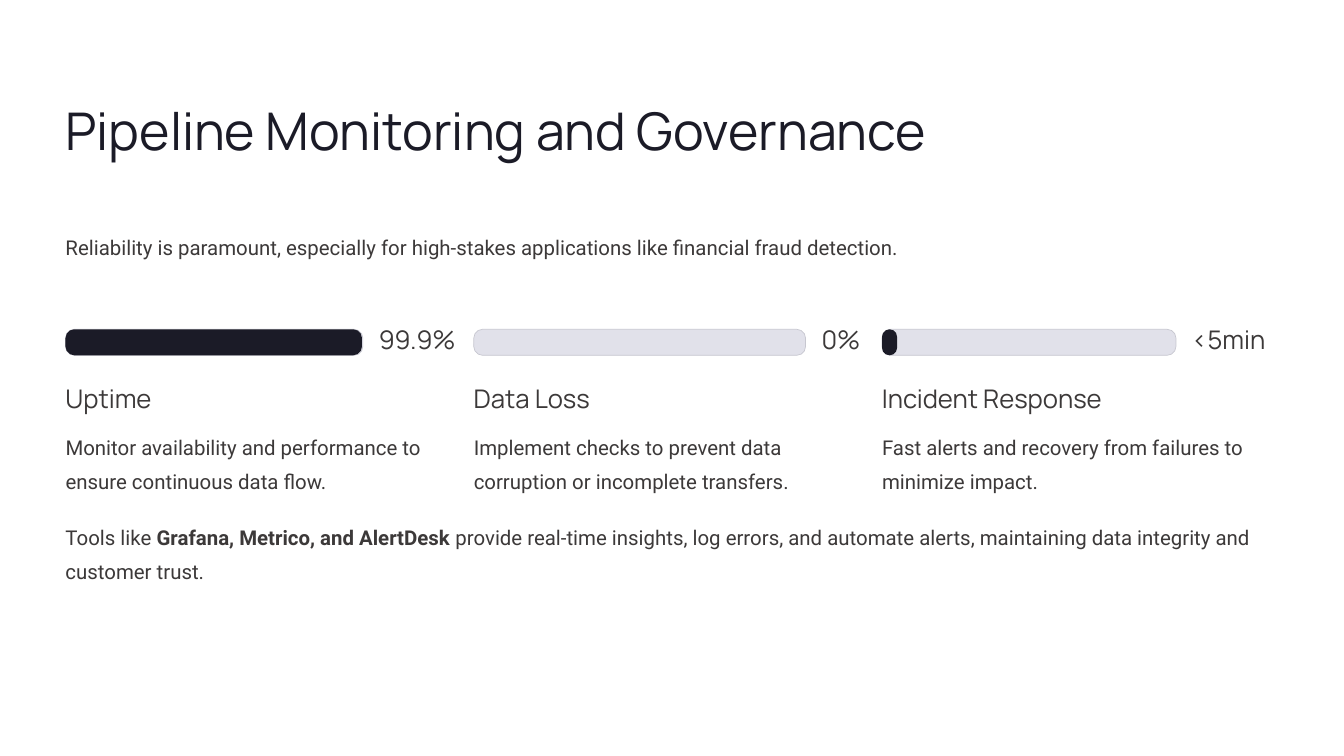
from pptx import Presentation
from pptx.dml.color import RGBColor
from pptx.enum.shapes import MSO_SHAPE
from pptx.enum.text import MSO_ANCHOR, MSO_AUTO_SIZE, PP_ALIGN
from pptx.util import Inches, Pt

ROUND = MSO_SHAPE.ROUNDED_RECTANGLE
TOP = MSO_ANCHOR.TOP
FIXED = MSO_AUTO_SIZE.NONE
LEFT = PP_ALIGN.LEFT

DARK = RGBColor(0x1B, 0x1B, 0x27)
GREY = RGBColor(0x3C, 0x39, 0x39)
TRACK = RGBColor(0xE1, 0xE1, 0xEA)
EDGE = RGBColor(0xC7, 0xC7, 0xD0)
HEAD, BODY = "Manrope", "Roboto"

MARGIN, STEP = 0.78, 4.86
BAR_TOP, BAR_H = 3.92, 0.31
GAP = 0.19

deck = Presentation()
deck.slide_width, deck.slide_height = Inches(16), Inches(9)
slide = deck.slides.add_slide(deck.slide_layouts[5])
shapes = slide.shapes


def write(box, area, parts, font, size, lead, color=GREY, wrap=False):
    """Place a box and fill it with one paragraph; odd parts are bold."""
    box.left, box.top, box.width, box.height = map(Inches, area)
    frame = box.text_frame
    frame.margin_left = frame.margin_right = 0
    frame.margin_top = frame.margin_bottom = 0
    frame.auto_size = FIXED
    frame.word_wrap = wrap
    frame.vertical_anchor = TOP
    para = frame.paragraphs[0]
    para.alignment = LEFT
    para.line_spacing = Pt(lead)
    para.font.name = font
    para.font.size = Pt(size)
    para.font.color.rgb = color
    for i, part in enumerate(parts):
        run = para.add_run()
        run.text = part
        if i % 2:
            run.font.bold = True


def add_bar(left, width, radius, color):
    bar = shapes.add_shape(ROUND, Inches(left), Inches(BAR_TOP),
                           Inches(width), Inches(BAR_H))
    bar.adjustments[0] = radius
    bar.shadow.inherit = False
    bar.fill.solid()
    bar.fill.fore_color.rgb = color
    bar.line.fill.background()
    return bar


# Title and introduction
write(shapes.title, (MARGIN, 1.15, 10.39, 0.78),
      ["Pipeline Monitoring and Governance"], HEAD, 44.5, 55.5, DARK)
write(shapes.add_textbox(0, 0, 0, 0), (MARGIN, 2.7, 14.26, 0.4),
      ["Reliability is paramount, especially for high-stakes applications "
       "like financial fraud detection."], BODY, 17.5, 28.5)

# Metrics: track width, filled width, fill radius, value, value width, name, note
metrics = [
    (3.54, 3.53, 0.34, "99.9%", 0.82, "Uptime",
     "Monitor availability and performance to ensure continuous data flow."),
    (3.95, 0, 0, "0%", 0.41, "Data Loss",
     "Implement checks to prevent data corruption or incomplete transfers."),
    (3.5, 0.18, 0.5, "<5min", 0.86, "Incident Response",
     "Fast alerts and recovery from failures to minimize impact."),
]
for i, (track, done, radius, value, room, name, note) in enumerate(metrics):
    left = MARGIN + i * STEP
    rail = add_bar(left, track, 0.34, TRACK)
    rail.line.color.rgb = EDGE
    rail.line.width = Pt(0.6)
    if done:
        add_bar(left, done, radius, DARK)
    texts = [
        ((left + track + GAP, BAR_TOP, room, BAR_H), value, HEAD, 22, 22, False),
        ((left, 4.54, 3.1, 0.39), name, HEAD, 22, 27.5, False),
        ((left, 5.08, 4.55, 0.79), note, BODY, 17.5, 28.5, True),
    ]
    for area, text, font, size, lead, wrap in texts:
        write(shapes.add_textbox(0, 0, 0, 0), area, [text], font, size, lead,
              wrap=wrap)

# Closing note on tools
write(shapes.add_textbox(0, 0, 0, 0), (MARGIN, 6.15, 14.26, 0.79),
      ["Tools like ", "Grafana, Metrico, and AlertDesk",
       " provide real-time insights, log errors, and automate alerts, "
       "maintaining data integrity and customer trust."],
      BODY, 17.5, 28.5, wrap=True)

deck.save("out.pptx")
